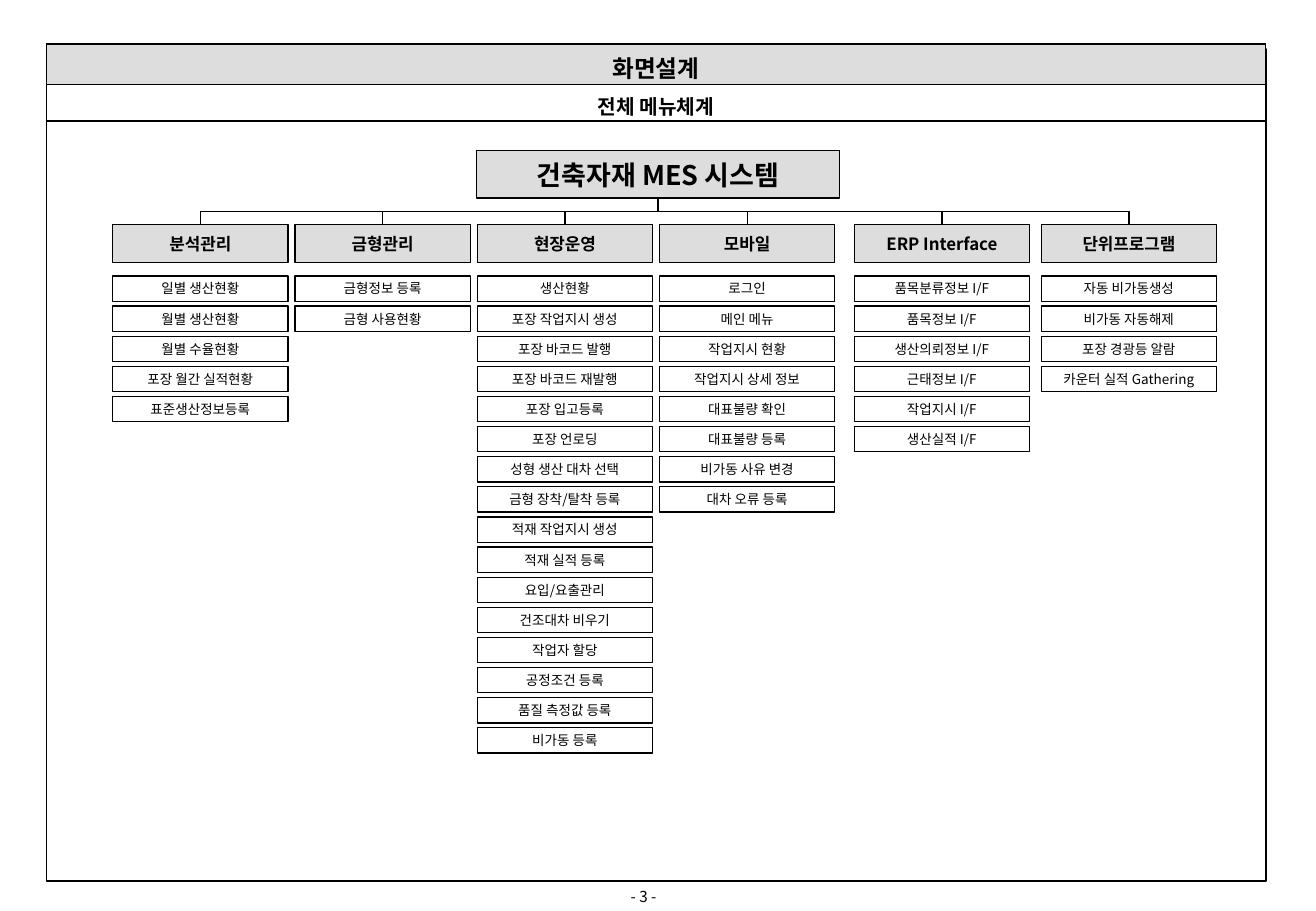
from dataclasses import dataclass
from lxml import etree
from pptx import Presentation, util as u
from pptx.dml.color import RGBColor
from pptx.enum import shapes as es, text as et
from pptx.oxml import ns

FONT = "Noto Sans CJK KR"
HEX = {"ink": "000000", "gray": "DDDDDD", "white": "FFFFFF"}
WIDTH, TOP, HEAD = 3.66, 4.7, 0.79      # menu column, in cm
FIRST, STEP, ITEM = 5.77, 0.63, 0.53    # menu items, in cm
ROOT = (9.96, 3.15, 7.59, 0.99)


@dataclass
class Menu:
    left: float
    name: str
    items: list[str]


MENUS = [
    Menu(2.36, "분석관리", ["일별 생산현황", "월별 생산현황", "월별 수율현황",
                        "포장 월간 실적현황", "표준생산정보등록"]),
    Menu(6.17, "금형관리", ["금형정보 등록", "금형 사용현황"]),
    Menu(9.98, "현장운영", [
        "생산현황", "포장 작업지시 생성", "포장 바코드 발행", "포장 바코드 재발행",
        "포장 입고등록", "포장 언로딩", "성형 생산 대차 선택", "금형 장착/탈착 등록",
        "적재 작업지시 생성", "적재 실적 등록", "요입/요출관리", "건조대차 비우기",
        "작업자 할당", "공정조건 등록", "품질 측정값 등록", "비가동 등록"]),
    Menu(13.79, "모바일", ["로그인", "메인 메뉴", "작업지시 현황", "작업지시 상세 정보",
                        "대표불량 확인", "대표불량 등록", "비가동 사유 변경",
                        "대차 오류 등록"]),
    Menu(17.86, "ERP Interface", ["품목분류정보 I/F", "품목정보 I/F",
                                  "생산의뢰정보 I/F", "근태정보 I/F",
                                  "작업지시 I/F", "생산실적 I/F"]),
    Menu(21.77, "단위프로그램", ["자동 비가동생성", "비가동 자동해제",
                           "포장 경광등 알람", "카운터 실적 Gathering"]),
]


def color(key: str) -> RGBColor:
    return RGBColor.from_string(HEX[key])


def write(frame, words: str, size: float, bold: bool = False) -> None:
    frame.text = words
    para = frame.paragraphs[0]
    para.alignment = et.PP_ALIGN.CENTER
    font = para.font
    font.name, font.size, font.bold = FONT, u.Pt(size), bold
    font.color.rgb = color("ink")
    # Korean glyphs take the East Asian typeface
    etree.SubElement(font._rPr, ns.qn("a:ea"), typeface=FONT)


def paint(shape, fill: str, width: float = 0.75) -> None:
    shape.fill.solid()
    shape.fill.fore_color.rgb = color(fill)
    shape.line.color.rgb = color("ink")
    shape.line.width = u.Pt(width)


def label(shape, words: str, size: float, bold: bool) -> None:
    frame = shape.text_frame
    write(frame, words, size, bold)
    frame.word_wrap = False
    frame.auto_size = et.MSO_AUTO_SIZE.NONE
    frame.vertical_anchor = et.MSO_ANCHOR.MIDDLE


def box(slide, spot: tuple[float, ...], fill: str, width: float = 0.75):
    shape = slide.shapes.add_shape(es.MSO_SHAPE.RECTANGLE, *map(u.Cm, spot))
    shape.shadow.inherit = False
    paint(shape, fill, width)
    return shape


def link(slide, start: tuple[float, float], end: tuple[float, float]) -> None:
    """Elbow that drops, runs sideways, then drops: a turned connector."""
    (x1, y1), (x2, y2) = start, end
    midx, midy = (x1 + x2) / 2, (y1 + y2) / 2
    drop, span = (y2 - y1) / 2, abs(x2 - x1) / 2
    side = 1 if x2 > x1 else -1
    line = slide.shapes.add_connector(
        es.MSO_CONNECTOR.ELBOW, u.Cm(midx + side * drop), u.Cm(midy - span),
        u.Cm(midx - side * drop), u.Cm(midy + span))
    line.line.color.rgb = color("ink")
    line.line.width = u.Pt(0.75)
    props = line._element.spPr
    turn = 270 if side > 0 else 90
    props.find(ns.qn("a:xfrm")).set("rot", str(turn * 60000))
    etree.SubElement(props, ns.qn("a:effectLst"))


def edge(cell) -> None:
    """Put a black border on all four sides, ahead of the cell fill."""
    props = cell._tc.get_or_add_tcPr()
    for spot, side in enumerate(("lnL", "lnR", "lnT", "lnB")):
        line = etree.Element(ns.qn(f"a:{side}"), w=str(u.Pt(1)))
        fill = etree.SubElement(line, ns.qn("a:solidFill"))
        etree.SubElement(fill, ns.qn("a:srgbClr"), val=HEX["ink"])
        props.insert(spot, line)


def banner(slide) -> None:
    table = slide.shapes.add_table(2, 1, u.Cm(0.97), u.Cm(0.92),
                                   u.Cm(25.48), u.Cm(1.6)).table
    table.first_row = table.horz_banding = False
    rows = [("화면설계", 14, 0.84, "gray"), ("전체 메뉴체계", 12, 0.76, "white")]
    for i, (words, size, high, fill) in enumerate(rows):
        table.rows[i].height = u.Cm(high)
        cell = table.cell(i, 0)
        cell.vertical_anchor = et.MSO_ANCHOR.MIDDLE
        cell.fill.solid()
        cell.fill.fore_color.rgb = color(fill)
        write(cell.text_frame, words, size, True)
        edge(cell)


def title(slide) -> None:
    shape = slide.shapes.title
    shape.left, shape.top, shape.width, shape.height = map(u.Cm, ROOT)
    paint(shape, "gray")
    label(shape, "건축자재 MES 시스템", 16, True)


def column(slide, menu: Menu) -> None:
    left, top, width, high = ROOT
    link(slide, (left + width / 2, top + high), (menu.left + WIDTH / 2, TOP))
    head = box(slide, (menu.left, TOP, WIDTH, HEAD), "gray")
    label(head, menu.name, 10, True)
    for i, words in enumerate(menu.items):
        item = box(slide, (menu.left, FIRST + i * STEP, WIDTH, ITEM), "white")
        label(item, words, 8, False)


def main() -> None:
    deck = Presentation()
    deck.slide_width, deck.slide_height = u.Cm(27.51), u.Cm(19.05)
    slide = deck.slides.add_slide(deck.slide_layouts[5])
    box(slide, (0.97, 1.02, 25.5, 17.4), "white", 1).fill.background()
    page = slide.shapes.add_textbox(u.Cm(12.17), u.Cm(18.44),
                                    u.Cm(2.57), u.Cm(0.48))
    page.text_frame.word_wrap = True
    write(page.text_frame, "- 3 -", 9)
    banner(slide)
    title(slide)
    for menu in MENUS:
        column(slide, menu)
    deck.save("out.pptx")


if __name__ == "__main__":
    main()
